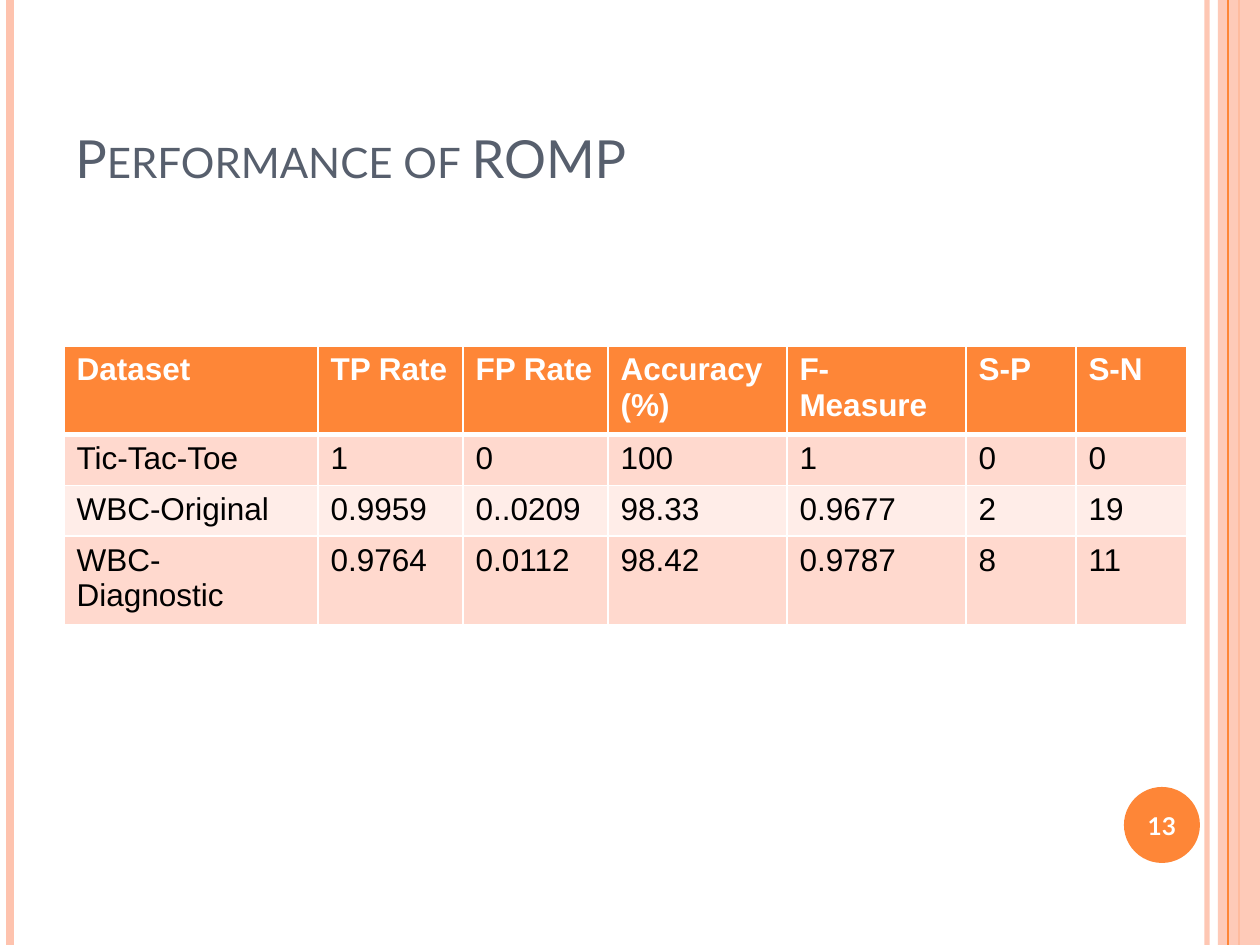
from lxml.etree import SubElement
from pptx import Presentation
from pptx.dml.color import RGBColor
from pptx.enum.shapes import MSO_CONNECTOR, MSO_SHAPE
from pptx.enum.text import MSO_ANCHOR, PP_ALIGN
from pptx.oxml import parse_xml
from pptx.oxml.ns import nsdecls, qn
from pptx.util import Emu, Pt


def px(n):
    return Emu(round(n * 914400 / 126))


def rgb(value):
    return RGBColor.from_string(value)


ORANGE, PEACH, WHITE = "FE8637", "FEC3AE", "FFFFFF"

prs = Presentation()
prs.slide_width, prs.slide_height = px(1260), px(945)
s = prs.slides.add_slide(prs.slide_layouts[6])

rules = [(1207, PEACH, 3, 93), (10, PEACH, 4.5, 100), (1239, ORANGE, 1.5, 100),
         (1228, ORANGE, 0.75, 100)]
for i, (x, color, width, opacity) in enumerate(rules):
    if i == 3:
        band = s.shapes.add_shape(MSO_SHAPE.RECTANGLE, px(1218), 0, px(42), px(945))
        band.shadow.inherit = False
        band.fill.solid()
        band.fill.fore_color.rgb = rgb(PEACH)
        band.line.fill.background()
        fill = band._element.spPr.find(qn("a:solidFill"))
        SubElement(fill[0], qn("a:alpha"), val="87000")
    line = s.shapes.add_connector(MSO_CONNECTOR.STRAIGHT, px(x), 0, px(x), px(945))
    line.line.color.rgb = rgb(color)
    line.line.width = Pt(width)
    if opacity < 100:
        fill = line.line._ln.find(qn("a:solidFill"))
        SubElement(fill[0], qn("a:alpha"), val=str(opacity * 1000))
    SubElement(line._element.spPr, qn("a:effectLst"))

badge = s.shapes.add_shape(MSO_SHAPE.OVAL, px(1124), px(787), px(76), px(76))
badge.shadow.inherit = False
badge.fill.solid()
badge.fill.fore_color.rgb = rgb(ORANGE)
badge.line.fill.background()

labels = [
    ("Performance of ROMP", 63, 38, 1029, 157, 30, "575F6D", False,
     MSO_ANCHOR.BOTTOM, PP_ALIGN.LEFT),
    ("13", 1120, 790, 84, 72, 14, WHITE, True, MSO_ANCHOR.MIDDLE, PP_ALIGN.CENTER),
]
for text, x, y, w, h, size, color, bold, anchor, align in labels:
    tf = s.shapes.add_textbox(px(x), px(y), px(w), px(h)).text_frame
    tf.word_wrap = True
    tf.vertical_anchor = anchor
    tf.text = text
    p = tf.paragraphs[0]
    p.alignment = align
    r = p.runs[0]
    r.font.name = "Lato"
    r.font.size = Pt(size)
    r.font.bold = bold
    r.font.color.rgb = rgb(color)
    if size == 30:
        r.font._element.set("cap", "small")

rows = [
    ["Dataset", "TP Rate", "FP Rate", "Accuracy (%)", "F-Measure", "S-P", "S-N"],
    ["Tic-Tac-Toe", "1", "0", "100", "1", "0", "0"],
    ["WBC-Original", "0.9959", "0..0209", "98.33", "0.9677", "2", "19"],
    ["WBC-Diagnostic", "0.9764", "0.0112", "98.42", "0.9787", "8", "11"],
]
row_fills = [ORANGE, "FFD9CE", "FFEDE8", "FFD9CE"]
col_widths = [254, 145, 145, 179, 179, 110, 111]
row_heights = [83, 51, 51, 82]
table = s.shapes.add_table(len(rows), len(col_widths), px(64), px(346),
                           px(sum(col_widths)), px(sum(row_heights))).table
for column, width in zip(table.columns, col_widths):
    column.width = px(width)
for i, (row, height) in enumerate(zip(rows, row_heights)):
    table.rows[i].height = px(height)
    for j, text in enumerate(row):
        cell = table.cell(i, j)
        tcPr = cell._tc.get_or_add_tcPr()
        for side in "LRTB":
            width = 3 if (i, side) in [(0, "B"), (1, "T")] else 1
            tcPr.append(parse_xml(
                f'<a:ln{side} {nsdecls("a")} w="{Pt(width)}"><a:solidFill>'
                f'<a:srgbClr val="{WHITE}"/></a:solidFill></a:ln{side}>'))
        cell.fill.solid()
        cell.fill.fore_color.rgb = rgb(row_fills[i])
        cell.text_frame.text = text
        r = cell.text_frame.paragraphs[0].runs[0]
        r.font.name = "Arial"
        r.font.size = Pt(18)
        r.font.bold = i == 0
        r.font.color.rgb = rgb(WHITE if i == 0 else "000000")

prs.save("out.pptx")
